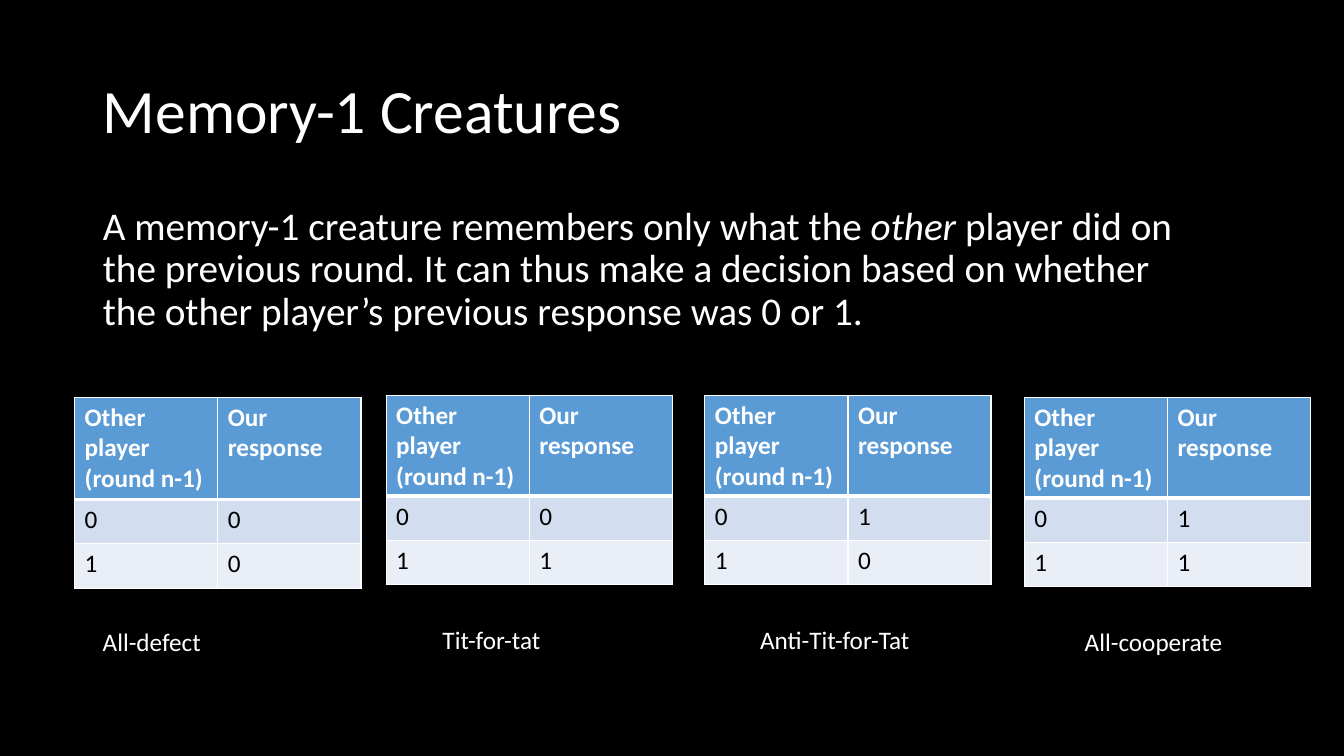
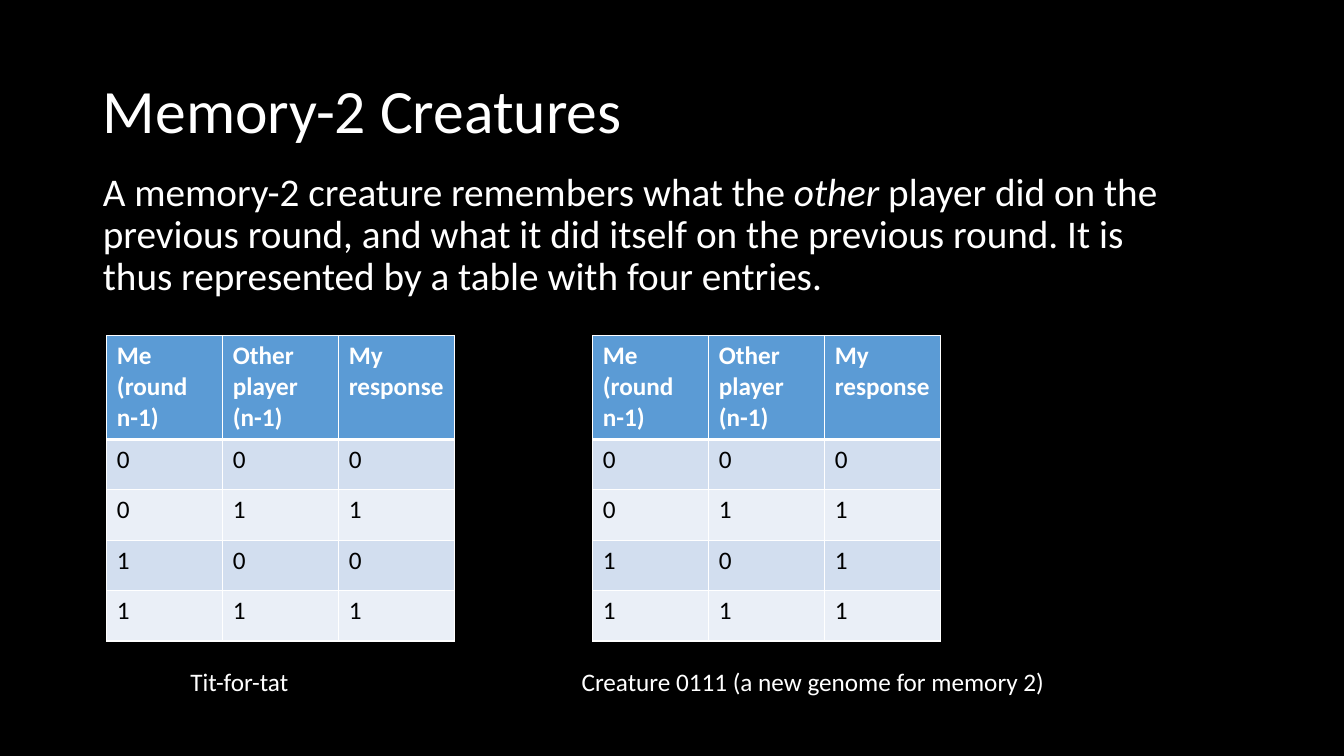
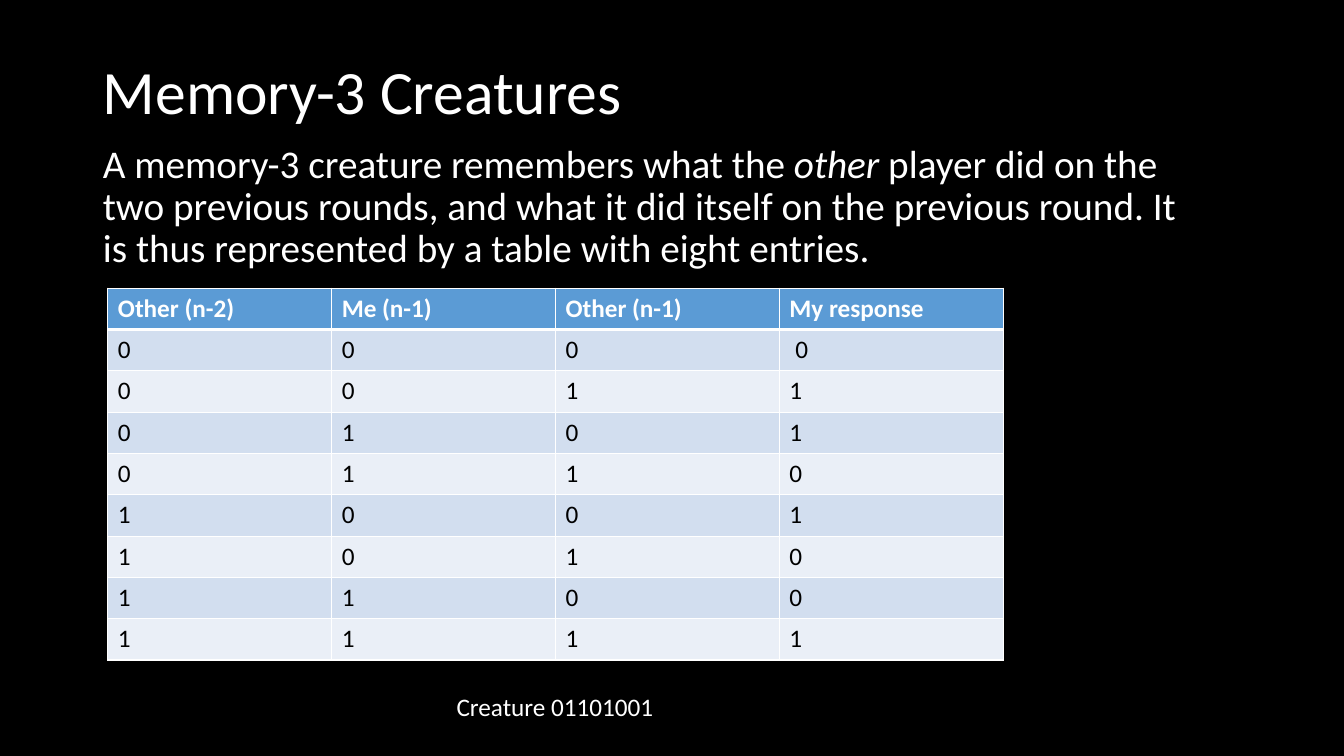
"""Build three slides on memory-based creatures and their response tables."""
from dataclasses import dataclass
from itertools import product

from lxml import etree
from pptx import Presentation
from pptx.dml.color import RGBColor
from pptx.enum.text import MSO_ANCHOR, MSO_AUTO_SIZE, PP_ALIGN
from pptx.oxml.ns import qn
from pptx.presentation import Presentation as Deck
from pptx.shapes.autoshape import Shape
from pptx.slide import Slide
from pptx.table import _Cell
from pptx.text.text import _Paragraph
from pptx.util import Inches, Pt

MIDDLE = MSO_ANCHOR.MIDDLE
TOP = MSO_ANCHOR.TOP
LEFT = PP_ALIGN.LEFT
NO_FIT = MSO_AUTO_SIZE.NONE
GROW = MSO_AUTO_SIZE.SHAPE_TO_FIT_TEXT


@dataclass(frozen=True)
class Theme:
    """Colours, type and line weights shared by the slides."""

    font: str = "Calibri"
    title_size: int = 44
    body_size: int = 28
    small_size: int = 18
    line_spacing: float = 0.9
    background: RGBColor = RGBColor(0x00, 0x00, 0x00)
    light: RGBColor = RGBColor(0xFF, 0xFF, 0xFF)
    dark: RGBColor = RGBColor(0x00, 0x00, 0x00)
    header_fill: RGBColor = RGBColor(0x5B, 0x9B, 0xD5)
    bands: tuple[RGBColor, ...] = (RGBColor(0xD2, 0xDE, 0xEF), RGBColor(0xEA, 0xEF, 0xF7))
    grid_weight: int = 1
    header_rule_weight: int = 3


@dataclass(frozen=True)
class Box:
    """A rectangle in inches."""

    left: float
    top: float
    width: float
    height: float


@dataclass(frozen=True)
class TableStyle:
    """Headings and cell sizes of the tables on one slide."""

    headings: tuple[str, ...]
    column_width: float
    header_height: float
    row_height: float


@dataclass(frozen=True)
class Creature:
    """A response genome with the places of its table and caption."""

    name: str
    genome: str
    left: float
    top: float
    caption: Box
    first_response_indent: float = 0


@dataclass(frozen=True)
class MemorySlide:
    """One slide: title, explanation and creatures."""

    memory: int
    title_top: float
    body_top: float
    before_other: str
    after_other: str
    table_style: TableStyle
    creatures: tuple[Creature, ...]


THEME = Theme()

SLIDES = (
    MemorySlide(
        1, 0.4, 2,
        "A memory-1 creature remembers only what the ",
        " player did on the previous round. It can thus make a decision based on "
        "whether the other player’s previous response was 0 or 1.",
        TableStyle(("Other player (round n-1)", "Our response"), 1.42, 1.0, 0.44),
        (
            Creature("All-defect", "00", 0.74, 3.94, Box(0.92, 6.16, 1.19, 0.4)),
            Creature("Tit-for-tat", "01", 3.83, 3.92, Box(4.29, 6.14, 1.18, 0.4)),
            Creature("Anti-Tit-for-Tat", "10", 6.99, 3.92, Box(7.44, 6.14, 1.7, 0.4)),
            Creature("All-cooperate", "11", 10.16, 3.94, Box(10.66, 6.16, 1.58, 0.4)),
        ),
    ),
    MemorySlide(
        2, 0.4, 1.66,
        "A memory-2 creature remembers what the ",
        " player did on the previous round, and what it did itself on the previous "
        "round. It is thus represented by a table with four entries.",
        TableStyle(("Me (round n-1)", "Other player (n-1)", "My response"), 1.15, 1.03, 0.5),
        (
            Creature("Tit-for-tat", "0101", 1.06, 3.33, Box(1.79, 6.56, 1.18, 0.4)),
            Creature("Creature 0111 (a new genome for memory 2)", "0111", 5.88, 3.33,
                     Box(5.67, 6.56, 4.85, 0.4)),
        ),
    ),
    MemorySlide(
        3, 0.21, 1.38,
        "A memory-3 creature remembers what the ",
        " player did on the two previous rounds, and what it did itself on the "
        "previous round. It is thus represented by a table with eight entries.",
        TableStyle(("Other (n-2)", "Me (n-1)", "Other (n-1)", "My response"), 2.22, 0.41, 0.41),
        (
            Creature("Creature 01101001", "01101001", 1.07, 2.86,
                     Box(4.43, 6.81, 2.18, 0.4), first_response_indent=0.06),
        ),
    ),
)


def style_paragraph(paragraph: _Paragraph, size: int, color: RGBColor, bold: bool = False) -> None:
    """Set the font and left alignment of a paragraph."""
    paragraph.alignment = LEFT
    paragraph.font.name = THEME.font
    paragraph.font.size = Pt(size)
    paragraph.font.bold = bold
    paragraph.font.color.rgb = color


def place(shape: Shape, box: Box) -> None:
    """Move and size a placeholder."""
    shape.left, shape.top = Inches(box.left), Inches(box.top)
    shape.width, shape.height = Inches(box.width), Inches(box.height)


def draw_title(slide: Slide, text: str, top: float) -> None:
    """Fill and format the title placeholder."""
    title = slide.shapes.title
    place(title, Box(0.92, top, 11.5, 1.45))
    title.text_frame.auto_size = NO_FIT
    title.text_frame.vertical_anchor = MIDDLE
    paragraph = title.text_frame.paragraphs[0]
    paragraph.text = text
    paragraph.line_spacing = THEME.line_spacing
    style_paragraph(paragraph, THEME.title_size, THEME.light)


def draw_explanation(slide: Slide, content: MemorySlide) -> None:
    """Fill the body placeholder, stressing the word 'other'."""
    body = slide.placeholders[1]
    place(body, Box(0.92, content.body_top, 11.07, 1.49))
    body.text_frame.auto_size = NO_FIT
    body.text_frame.vertical_anchor = TOP
    paragraph = body.text_frame.paragraphs[0]
    properties = paragraph._p.get_or_add_pPr()
    properties.set("marL", "0")
    properties.set("indent", "0")
    etree.SubElement(properties, qn("a:buNone"))
    paragraph.line_spacing = THEME.line_spacing
    paragraph.space_before = Pt(0)
    style_paragraph(paragraph, THEME.body_size, THEME.light)
    for text, stressed in ((content.before_other, False), ("other", True), (content.after_other, False)):
        run = paragraph.add_run()
        run.text = text
        run.font.italic = stressed


def border_cell(cell: _Cell, top_weight: int, bottom_weight: int) -> None:
    """Give a cell solid borders on all four sides."""
    properties = cell._tc.get_or_add_tcPr()
    weights = {"a:lnL": THEME.grid_weight, "a:lnR": THEME.grid_weight,
               "a:lnT": top_weight, "a:lnB": bottom_weight}
    for position, (side, weight) in enumerate(weights.items()):
        line = etree.Element(qn(side), w=str(Pt(weight)))
        fill = etree.SubElement(line, qn("a:solidFill"))
        etree.SubElement(fill, qn("a:srgbClr"), val=str(THEME.light))
        properties.insert(position, line)


def draw_cell(cell: _Cell, text: str, row: int) -> None:
    """Write one cell as a heading or a banded entry."""
    heading = row == 0
    cell.fill.solid()
    cell.fill.fore_color.rgb = THEME.header_fill if heading else THEME.bands[(row - 1) % 2]
    border_cell(
        cell,
        THEME.header_rule_weight if row == 1 else THEME.grid_weight,
        THEME.header_rule_weight if heading else THEME.grid_weight,
    )
    paragraph = cell.text_frame.paragraphs[0]
    paragraph.text = text
    style_paragraph(paragraph, THEME.small_size, THEME.light if heading else THEME.dark, heading)


def draw_responses(slide: Slide, creature: Creature, style: TableStyle) -> None:
    """Draw every remembered history beside the creature's response."""
    columns = len(style.headings)
    histories = product("01", repeat=columns - 1)
    entries = [(*history, reply) for history, reply in zip(histories, creature.genome)]
    rows = [style.headings, *entries]
    table = slide.shapes.add_table(
        len(rows), columns, Inches(creature.left), Inches(creature.top),
        Inches(columns * style.column_width),
        Inches(style.header_height + len(entries) * style.row_height),
    ).table
    for column in table.columns:
        column.width = Inches(style.column_width)
    for row, texts in enumerate(rows):
        table.rows[row].height = Inches(style.row_height if row else style.header_height)
        for column, text in enumerate(texts):
            draw_cell(table.cell(row, column), text, row)
    if creature.first_response_indent:
        first_response = table.cell(1, columns - 1)
        first_response.margin_left += Inches(creature.first_response_indent)


def draw_caption(slide: Slide, text: str, box: Box) -> None:
    """Write a creature's name under its table."""
    caption = slide.shapes.add_textbox(
        Inches(box.left), Inches(box.top), Inches(box.width), Inches(box.height))
    caption.text_frame.word_wrap = False
    caption.text_frame.auto_size = GROW
    paragraph = caption.text_frame.paragraphs[0]
    paragraph.text = text
    style_paragraph(paragraph, THEME.small_size, THEME.light)


def draw_slide(deck: Deck, content: MemorySlide) -> None:
    """Add one complete slide."""
    slide = deck.slides.add_slide(deck.slide_layouts[1])
    draw_title(slide, f"Memory-{content.memory} Creatures", content.title_top)
    draw_explanation(slide, content)
    for creature in content.creatures:
        draw_responses(slide, creature, content.table_style)
        draw_caption(slide, creature.name, creature.caption)


def main() -> None:
    """Build and save the presentation."""
    deck = Presentation()
    deck.slide_width, deck.slide_height = Inches(13.33), Inches(7.5)
    background = deck.slide_master.background.fill
    background.solid()
    background.fore_color.rgb = THEME.background
    for content in SLIDES:
        draw_slide(deck, content)
    deck.save("out.pptx")


if __name__ == "__main__":
    main()
